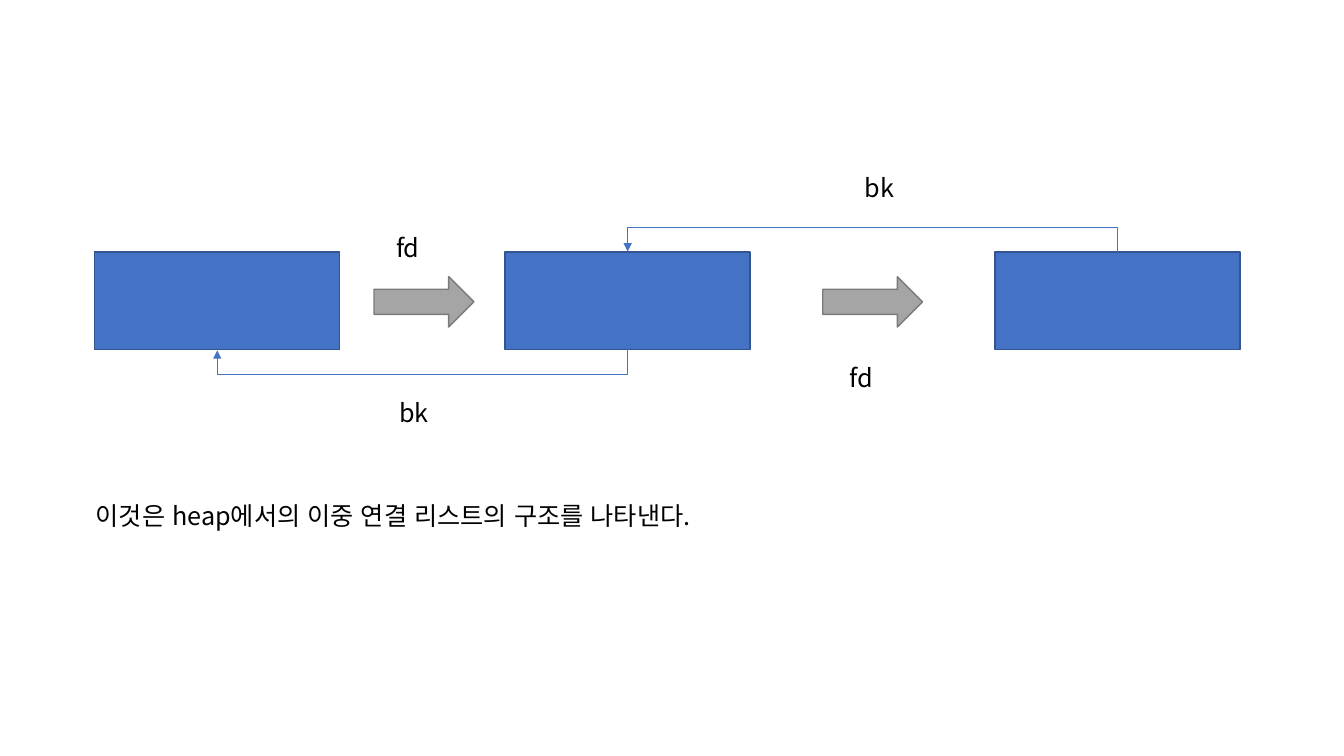
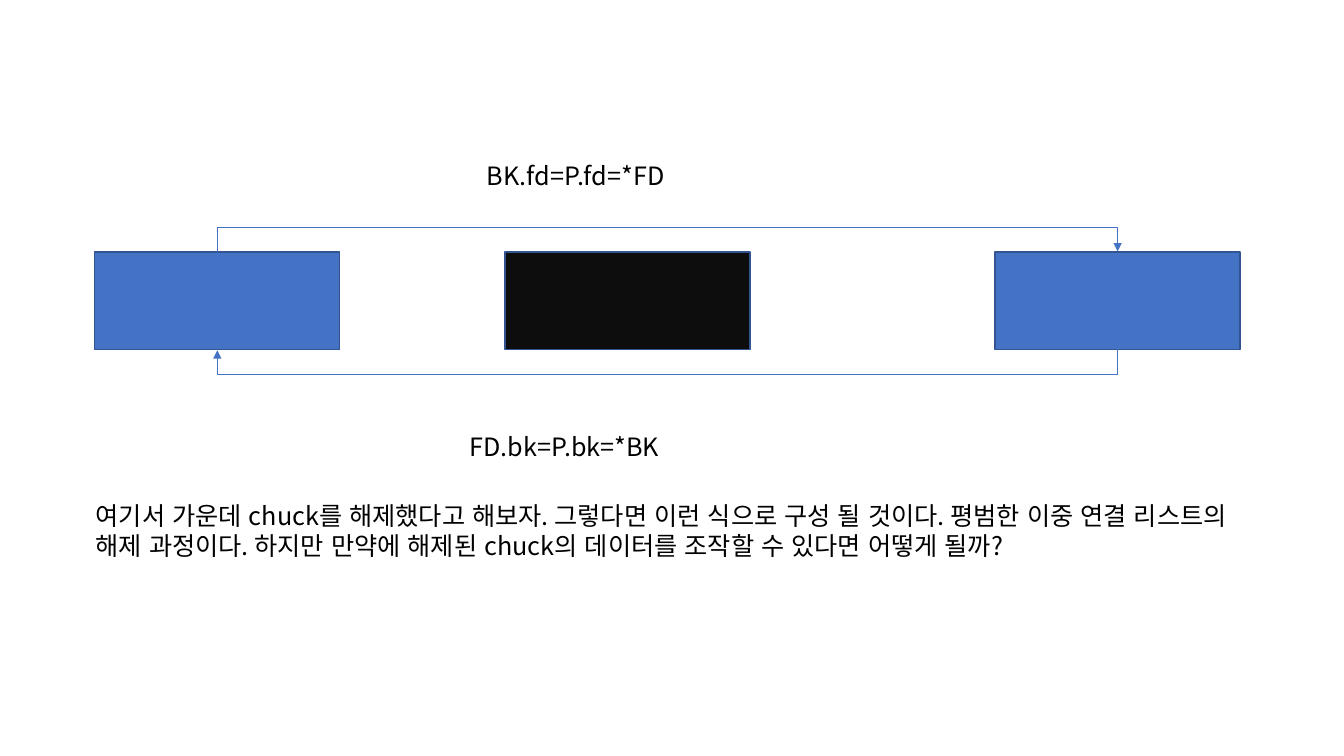
import pptx
import pptx.dml.color
import pptx.enum.lang
import pptx.enum.shapes
import pptx.enum.text
import pptx.oxml.ns
import pptx.util
from lxml import etree

Inches, Pt = pptx.util.Inches, pptx.util.Pt
RGBColor = pptx.dml.color.RGBColor
MSO_SHAPE = pptx.enum.shapes.MSO_SHAPE
qn = pptx.oxml.ns.qn

FONT = "Noto Sans CJK KR"
BLUE = RGBColor(0x44, 0x72, 0xC4)
BLUE_EDGE = RGBColor(0x32, 0x54, 0x91)
GRAY = RGBColor(0xA5, 0xA5, 0xA5)
GRAY_EDGE = RGBColor(0x7A, 0x7A, 0x7A)
FREED = RGBColor(0x0D, 0x0D, 0x0D)
BLACK = RGBColor(0, 0, 0)

CHUNK_LEFTS = (0.94, 5.01, 9.87)
CHUNK_TOP, CHUNK_W, CHUNK_H = 2.5, 2.43, 0.97
ARROW_W, ARROW_H = 0.99, 0.5
LABEL_H = 0.4
LINK_RISE, LINK_STEP = 0.25, 0.01  # distance of a link from the chunks; offset of its ends

TOP, BOTTOM = 0, 2  # connection sites of a rectangle
# (site, goes right): rotation in degrees, flips
LINK_TURNS = {
    (BOTTOM, False): (90, ()),
    (TOP, False): (270, ("flipV",)),
    (TOP, True): (90, ("flipH", "flipV")),
}

# labels: text, left, top, width; links: from chunk, to chunk, site
SLIDES = [
    {
        "chunks": (BLUE, BLUE, BLUE),
        "arrows": (3.71, 8.16),
        "links": [(1, 0, BOTTOM), (2, 1, TOP)],
        "labels": [
            ("fd", 3.83, 2.26, 0.67),
            ("fd", 8.33, 3.55, 0.67),
            ("bk", 3.86, 3.89, 0.67),
            ("bk", 8.48, 1.66, 0.67),
        ],
        "caption": "이것은 heap에서의 이중 연결 리스트의 구조를 나타낸다.",
    },
    {
        "chunks": (BLUE, FREED, BLUE),
        "arrows": (),
        "links": [(0, 2, TOP), (2, 0, BOTTOM)],
        "labels": [
            ("FD.bk=P.bk=*BK", 4.56, 4.23, 3.12),
            ("BK.fd=P.fd=*FD", 4.73, 1.54, 3.12),
        ],
        "caption": "여기서 가운데 chuck를 해제했다고 해보자. 그렇다면 이런 식으로 "
                   "구성 될 것이다. 평범한 이중 연결 리스트의 해제 과정이다. "
                   "하지만 만약에 해제된 chuck의 데이터를 조작할 수 있다면 어떻게 될까?",
    },
]


def add_block(s, kind, left, top, width, height, fill, edge):
    sp = s.shapes.add_shape(kind, Inches(left), Inches(top), Inches(width), Inches(height))
    sp.shadow.inherit = False
    sp.fill.solid()
    sp.fill.fore_color.rgb = fill
    sp.line.color.rgb = edge
    sp.line.width = Pt(1)
    return sp


def add_text(s, text, left, top, width, height=LABEL_H):
    sp = s.shapes.add_textbox(Inches(left), Inches(top), Inches(width), Inches(height))
    tf = sp.text_frame
    tf.word_wrap = True
    tf.auto_size = pptx.enum.text.MSO_AUTO_SIZE.SHAPE_TO_FIT_TEXT
    r = tf.paragraphs[0].add_run()
    r.text = text
    r.font.size = Pt(18)
    r.font.color.rgb = BLACK
    r.font.name = FONT
    r.font.language_id = pptx.enum.lang.MSO_LANGUAGE_ID.KOREAN
    etree.SubElement(r.font._element, qn("a:ea")).set("typeface", FONT)


def add_link(s, chunks, start, end, site):
    """Join two chunks, top to top or bottom to bottom, by a bent arrow."""
    x1, x2 = (CHUNK_LEFTS[i] + CHUNK_W / 2 for i in (start, end))
    y = CHUNK_TOP + (CHUNK_H if site == BOTTOM else 0)
    span = abs(x2 - x1)
    link = s.shapes.add_connector(pptx.enum.shapes.MSO_CONNECTOR.ELBOW, 0, 0, 0, 0)
    link.begin_connect(chunks[start], site)
    link.end_connect(chunks[end], site)

    # The frame is given before rotation: a narrow, tall box about the link's centre.
    link.left = Inches((x1 + x2 - LINK_STEP) / 2)
    link.top = Inches(y - span / 2)
    link.width, link.height = Inches(LINK_STEP), Inches(span)
    rotation, flips = LINK_TURNS[site, x2 > x1]
    spPr = link._element.spPr
    xfrm = spPr.find(qn("a:xfrm"))
    xfrm.set("rot", str(rotation * 60000))
    for flip in ("flipH", "flipV"):
        xfrm.set(flip, str(int(flip in flips)))
    guide = etree.SubElement(spPr.find(".//" + qn("a:avLst")), qn("a:gd"))
    guide.set("name", "adj1")
    guide.set("fmla", f"val {round(LINK_RISE / LINK_STEP * 100000)}")

    link.line.color.rgb = BLUE
    link.line.width = Pt(0.5)
    etree.SubElement(spPr.find(qn("a:ln")), qn("a:tailEnd")).set("type", "triangle")
    etree.SubElement(spPr, qn("a:effectLst"))


def add_list_slide(prs, content):
    s = prs.slides.add_slide(prs.slide_layouts[6])
    chunks = [
        add_block(s, MSO_SHAPE.RECTANGLE, left, CHUNK_TOP, CHUNK_W, CHUNK_H, fill, BLUE_EDGE)
        for left, fill in zip(CHUNK_LEFTS, content["chunks"])
    ]
    arrow_top = CHUNK_TOP + (CHUNK_H - ARROW_H) / 2 + 0.01
    for left in content["arrows"]:
        add_block(s, MSO_SHAPE.RIGHT_ARROW, left, arrow_top, ARROW_W, ARROW_H, GRAY, GRAY_EDGE)
    for link in content["links"]:
        add_link(s, chunks, *link)
    for label in content["labels"]:
        add_text(s, *label)
    add_text(s, content["caption"], 0.85, 4.91, 11.45)


def main():
    prs = pptx.Presentation()
    prs.slide_width, prs.slide_height = Inches(13.33), Inches(7.5)
    for content in SLIDES:
        add_list_slide(prs, content)
    prs.save("out.pptx")


if __name__ == "__main__":
    main()
